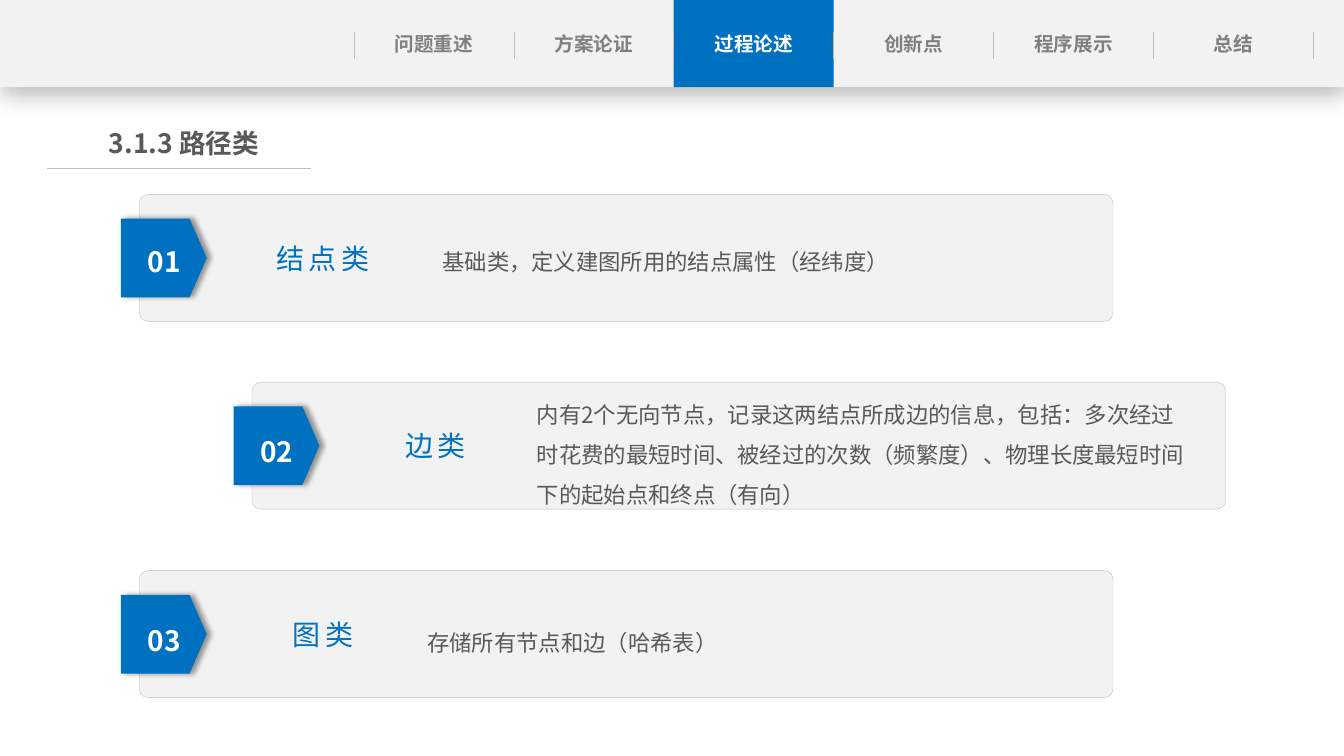
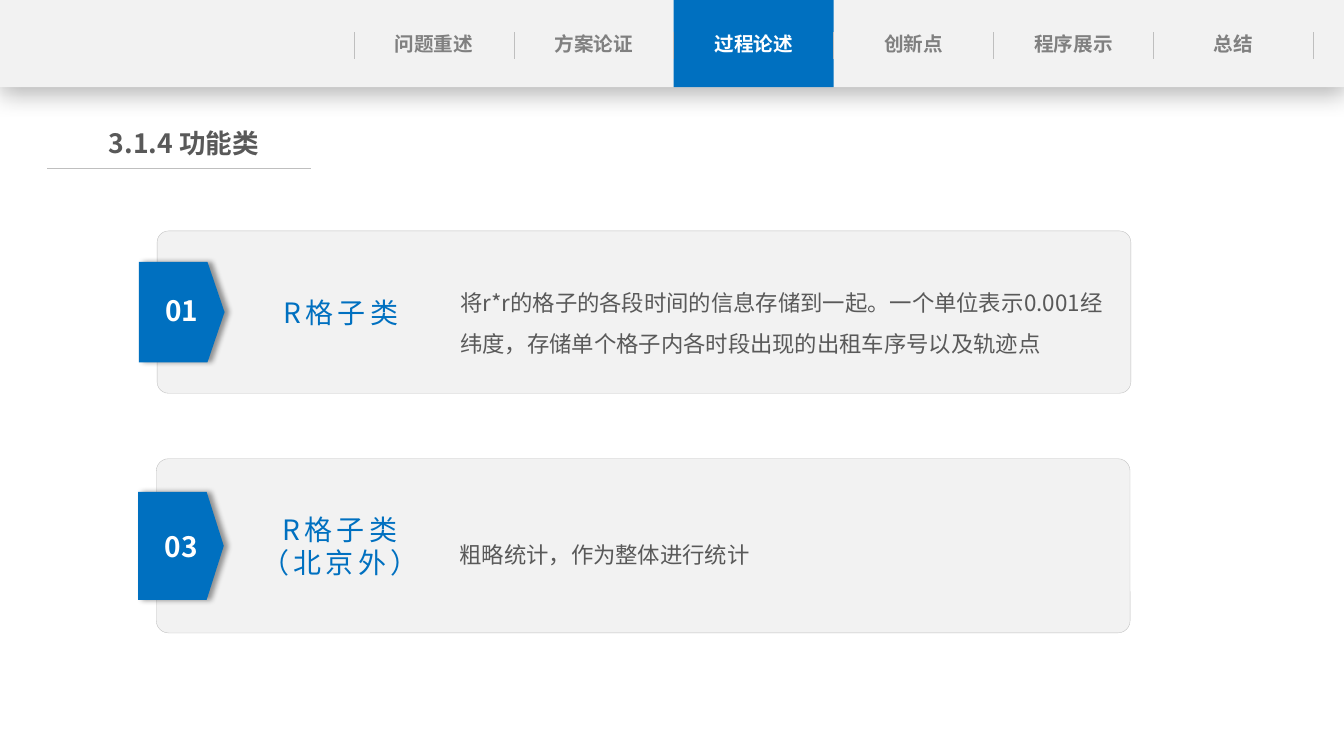
from lxml import etree
from pptx import Presentation
from pptx.dml.color import RGBColor
from pptx.enum.shapes import MSO_CONNECTOR, MSO_SHAPE
from pptx.enum.text import MSO_ANCHOR, MSO_AUTO_SIZE, PP_ALIGN
from pptx.oxml.ns import qn
from pptx.util import Cm, Pt

RECT, ROUND = MSO_SHAPE.RECTANGLE, MSO_SHAPE.ROUNDED_RECTANGLE
TAG = MSO_SHAPE.FLOWCHART_OFFPAGE_CONNECTOR
STRAIGHT = MSO_CONNECTOR.STRAIGHT
TOP, MIDDLE = MSO_ANCHOR.TOP, MSO_ANCHOR.MIDDLE
LEFT, CENTER = PP_ALIGN.LEFT, PP_ALIGN.CENTER
NO_FIT = MSO_AUTO_SIZE.NONE

FONT = "Noto Sans CJK SC"
COLORS = {"blue": "0070C0", "panel": "F2F2F2", "rule": "BFBFBF", "nav": "808080",
          "text": "595959", "white": "FFFFFF", "black": "000000"}

NAV = ["问题重述", "方案论证", "过程论述", "创新点", "程序展示", "总结"]
ACTIVE = "过程论述"
SLIDE_W, SLIDE_H = 33.87, 19.05
BAND_H, NAV_LEFT, NAV_STEP = 2.2, 8.92, 4.03
CARD_W, BODY_W = 24.54, 17.06
TAG_W, TAG_RATIO = 2.16, 0.62

SLIDES = [
    ("3.1.3 路径类", [
        {"number": "01", "number_top": 6.02, "label": "结点类", "card": (3.51, 4.9, 3.2),
         "body": "基础类，定义建图所用的结点属性（经纬度）", "body_box": (10.9, 5.79, 1.17)},
        {"number": "02", "number_top": 10.82, "label": "边类", "card": (6.35, 9.63, 3.2),
         "body": "内有2个无向节点，记录这两结点所成边的信息，包括：多次经过时花费的最短时间、"
                 "被经过的次数（频繁度）、物理长度最短时间下的起始点和终点（有向）",
         "body_box": (13.28, 9.63, 3.23)},
        {"number": "03", "number_top": 15.57, "label": "图类", "card": (3.51, 14.38, 3.2),
         "body": "存储所有节点和边（哈希表）", "body_box": (10.52, 15.39, 1.17)},
    ]),
    ("3.1.4 功能类", [
        {"number": "01", "number_top": 7.26, "label": "R格子类", "card": (3.96, 5.82, 4.09),
         "body": "将r*r的格子的各段时间的信息存储到一起。一个单位表示0.001经纬度，"
                 "存储单个格子内各时段出现的出租车序号以及轨迹点",
         "body_box": (11.35, 6.83, 2.18)},
        {"number": "03", "number_top": 13.21, "label": "R格子类\n（北京外）", "card": (3.94, 11.56, 4.39),
         "body": "粗略统计，作为整体进行统计", "body_box": (11.33, 13.18, 1.17)},
    ]),
]


def rgb(name):
    return RGBColor.from_string(COLORS[name])


def write(sp, text, size, color, bold=False, align=CENTER, anchor=TOP,
          side=0.25, line_spacing=None, tracking=None):
    tf = sp.text_frame
    tf.text = text
    tf.word_wrap = True
    tf.auto_size = NO_FIT
    tf.vertical_anchor = anchor
    tf.margin_left = tf.margin_right = Cm(side)
    tf.margin_top = tf.margin_bottom = Cm(0.13)
    for p in tf.paragraphs:
        p.alignment = align
        if line_spacing:
            p.line_spacing = line_spacing
        for r in p.runs:
            r.font.size, r.font.bold, r.font.name = Pt(size), bold, FONT
            r.font.color.rgb = rgb(color)
            rpr = r._r.get_or_add_rPr()
            etree.SubElement(rpr, qn("a:ea"), typeface=FONT)
            if tracking:
                rpr.set("spc", str(tracking * 100))


def add_text(shapes, box, text, size, color, **style):
    sp = shapes.add_textbox(*map(Cm, box))
    write(sp, text, size, color, **style)
    return sp


def add_block(shapes, kind, box, fill, line=None, shadow=None):
    sp = shapes.add_shape(kind, *map(Cm, box))
    sp.fill.solid()
    sp.fill.fore_color.rgb = rgb(fill)
    if line:
        sp.line.color.rgb = rgb(line)
        sp.line.width = Pt(0.25)
    else:
        sp.line.fill.background()
    sp.shadow.inherit = False
    if shadow:
        alpha, blur, dist, angle = shadow
        effects = sp.element.spPr.find(qn("a:effectLst"))
        outer = etree.SubElement(effects, qn("a:outerShdw"), blurRad=str(Pt(blur)),
                                 dist=str(Pt(dist)), dir=str(angle * 60000), rotWithShape="0")
        color = etree.SubElement(outer, qn("a:srgbClr"), val=COLORS["black"])
        etree.SubElement(color, qn("a:alpha"), val=str(alpha * 1000))
    return sp


def add_rule(shapes, x1, y1, x2, y2):
    line = shapes.add_connector(STRAIGHT, Cm(x1), Cm(y1), Cm(x2), Cm(y2))
    line.line.color.rgb = rgb("rule")
    line.line.width = Pt(0.5)
    etree.SubElement(line.element.spPr, qn("a:effectLst"))
    return line


def add_header(layout, shapes):
    active_left = NAV_LEFT + NAV.index(ACTIVE) * NAV_STEP
    parts = [add_block(shapes, RECT, (0, 0, SLIDE_W, BAND_H), "panel", shadow=(29, 18, 4, 90)),
             add_block(shapes, RECT, (active_left, 0, NAV_STEP, BAND_H), "blue")]
    for i, name in enumerate(NAV):
        box = (NAV_LEFT + i * NAV_STEP, 0.68, NAV_STEP, 0.86)
        color = "white" if name == ACTIVE else "nav"
        parts.append(add_text(shapes, box, name, 14, color, bold=True, side=0))
    for i in range(len(NAV) + 1):
        x = NAV_LEFT + i * NAV_STEP
        parts.append(add_rule(shapes, x, 0.81, x, 1.48))
    for n, part in enumerate(parts, 100):
        part.element.xpath(".//p:cNvPr")[0].set("id", str(n))
        layout.shapes.element.append(part.element)


def add_title(s, text):
    title = s.shapes.title
    title.left, title.top, title.width, title.height = map(Cm, (1.22, 3.07, 6.83, 1.1))
    write(title, text, 19, "text", bold=True, side=0)
    add_rule(s.shapes, 1.19, 4.24, 7.85, 4.24)


def add_card(s, card):
    shapes = s.shapes.add_group_shape().shapes
    left, top, height = card["card"]
    middle = top + height / 2
    panel = add_block(shapes, ROUND, (left, top, CARD_W, height), "panel", line="rule")
    panel.adjustments[0] = 0.07
    tag_h = height * TAG_RATIO
    tag_center = left - 0.46 + TAG_W / 2
    tag = add_block(shapes, TAG, (tag_center - tag_h / 2, middle - TAG_W / 2, tag_h, TAG_W),
                    "blue", shadow=(40, 4, 3, 0))
    tag.rotation = 270
    label_h = height * 0.55
    add_text(shapes, (left + 1.86, middle - label_h / 2, 5.54, label_h), card["label"],
             20, "blue", anchor=MIDDLE, tracking=3)
    x, y, h = card["body_box"]
    add_text(shapes, (x, y, BODY_W, h), card["body"], 16, "text", align=LEFT, line_spacing=1.5)
    add_text(shapes, (left - 0.3, card["number_top"], 1.85, 1.12), card["number"],
             20, "white", bold=True)


def main():
    prs = Presentation()
    prs.slide_width, prs.slide_height = Cm(SLIDE_W), Cm(SLIDE_H)
    layout = prs.slide_layouts[5]
    slides = [prs.slides.add_slide(layout) for _ in SLIDES]
    add_header(layout, slides[0].shapes)
    for s, (title, cards) in zip(slides, SLIDES):
        add_title(s, title)
        for card in cards:
            add_card(s, card)
    prs.save("out.pptx")


if __name__ == "__main__":
    main()
